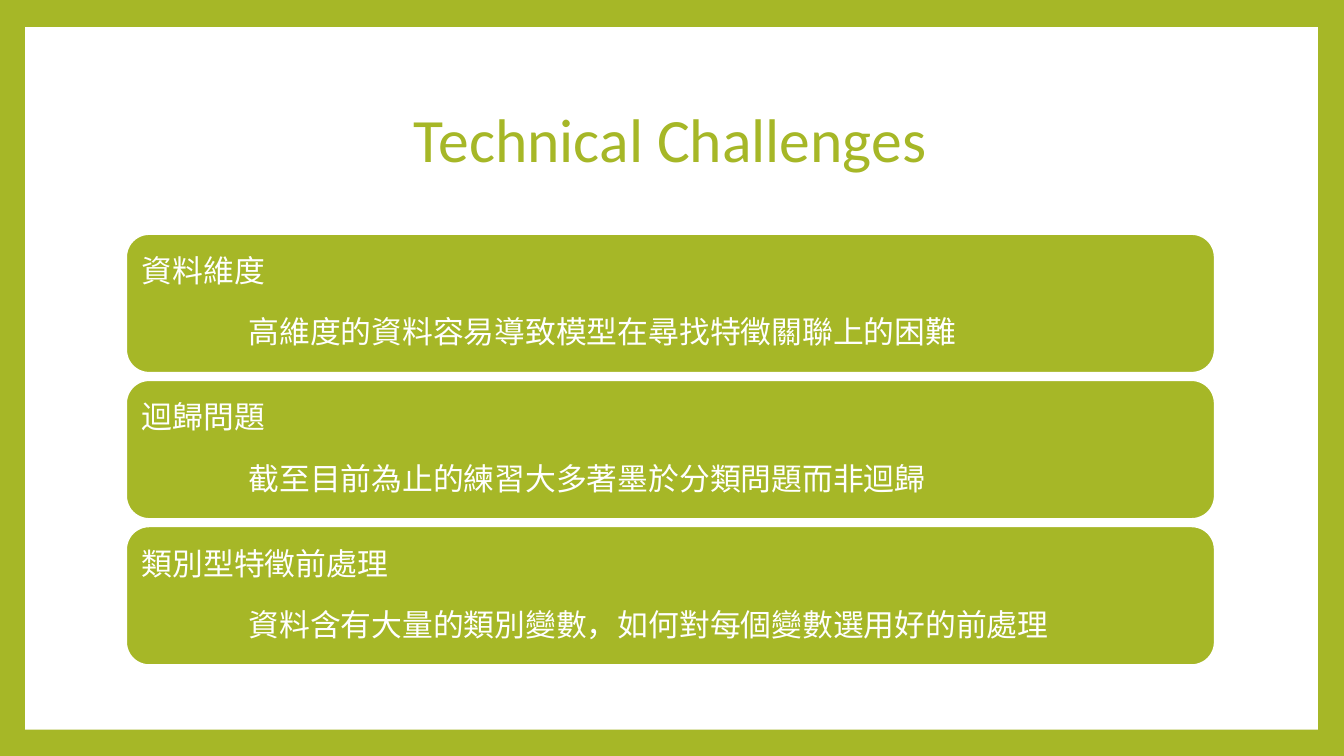
from pptx import Presentation
from pptx.dml.color import RGBColor
from pptx.enum.shapes import MSO_SHAPE
from pptx.enum.text import MSO_ANCHOR, PP_ALIGN
from pptx.util import Inches, Pt

RECT, ROUND = MSO_SHAPE.RECTANGLE, MSO_SHAPE.ROUNDED_RECTANGLE
MIDDLE = MSO_ANCHOR.MIDDLE
LEFT, CENTER = PP_ALIGN.LEFT, PP_ALIGN.CENTER
GREEN, WHITE = "A6B727", "FFFFFF"
EDGE, WIDTH = 1.25, 10.8
TOP, PITCH, HEIGHT = 2.32, 1.45, 1.38
INDENT = 1.06
ITEMS = [
    ("資料維度", "高維度的資料容易導致模型在尋找特徵關聯上的困難"),
    ("迴歸問題", "截至目前為止的練習大多著墨於分類問題而非迴歸"),
    ("類別型特徵前處理", "資料含有大量的類別變數，如何對每個變數選用好的前處理"),
]


def paint(color, tone):
    """Set a colour format or solid fill colour from a hex string."""
    color.rgb = RGBColor.from_string(tone)


def style(para, size, tone, align):
    """Format a whole paragraph."""
    para.font.name = "Calibri"
    para.font.size = Pt(size)
    paint(para.font.color, tone)
    para.alignment = align
    para.line_spacing = 0.9


def add_box(slide, kind, box, tone):
    """Add a filled shape without line or shadow."""
    shape = slide.shapes.add_shape(kind, *map(Inches, box))
    shape.shadow.inherit = False
    shape.fill.solid()
    paint(shape.fill.fore_color, tone)
    shape.line.fill.background()
    return shape


def add_title(slide, text):
    """Place and format the title placeholder."""
    title = slide.shapes.title
    title.left, title.top = Inches(EDGE), Inches(0.67)
    title.width, title.height = Inches(WIDTH), Inches(1.48)
    frame = title.text_frame
    frame.text = text
    frame.vertical_anchor = MIDDLE
    style(frame.paragraphs[0], 44, GREEN, CENTER)


def add_card(slide, row, head, body):
    """Add a rounded card with a heading and an indented line."""
    card = add_box(slide, ROUND, (EDGE, TOP + row * PITCH, WIDTH, HEIGHT), GREEN)
    paint(card.line.color, WHITE)
    card.line.width = Pt(1.5)
    frame = card.text_frame
    frame.word_wrap = True
    frame.vertical_anchor = MIDDLE
    frame.margin_left = frame.margin_right = Inches(0.09)
    frame.margin_top = frame.margin_bottom = Inches(0.09)
    frame.text = f"{head}\n{body}"
    for para in frame.paragraphs:
        style(para, 22, WHITE, LEFT)
    para.space_before = Pt(20)
    props = para._p.get_or_add_pPr()
    props.set("marL", str(Inches(INDENT)))
    props.set("indent", "0")


def main():
    """Build the slide and save it."""
    deck = Presentation()
    deck.slide_width, deck.slide_height = Inches(13.33), Inches(7.5)
    slide = deck.slides.add_slide(deck.slide_layouts[5])
    back = slide.background.fill
    back.solid()
    paint(back.fore_color, GREEN)
    panel = add_box(slide, RECT, (0.25, 0.27, 12.82, 6.97), WHITE)
    slide.shapes._spTree.insert(2, panel._element)
    add_title(slide, "Technical Challenges")
    for row, (head, body) in enumerate(ITEMS):
        add_card(slide, row, head, body)
    deck.save("out.pptx")


if __name__ == "__main__":
    main()
